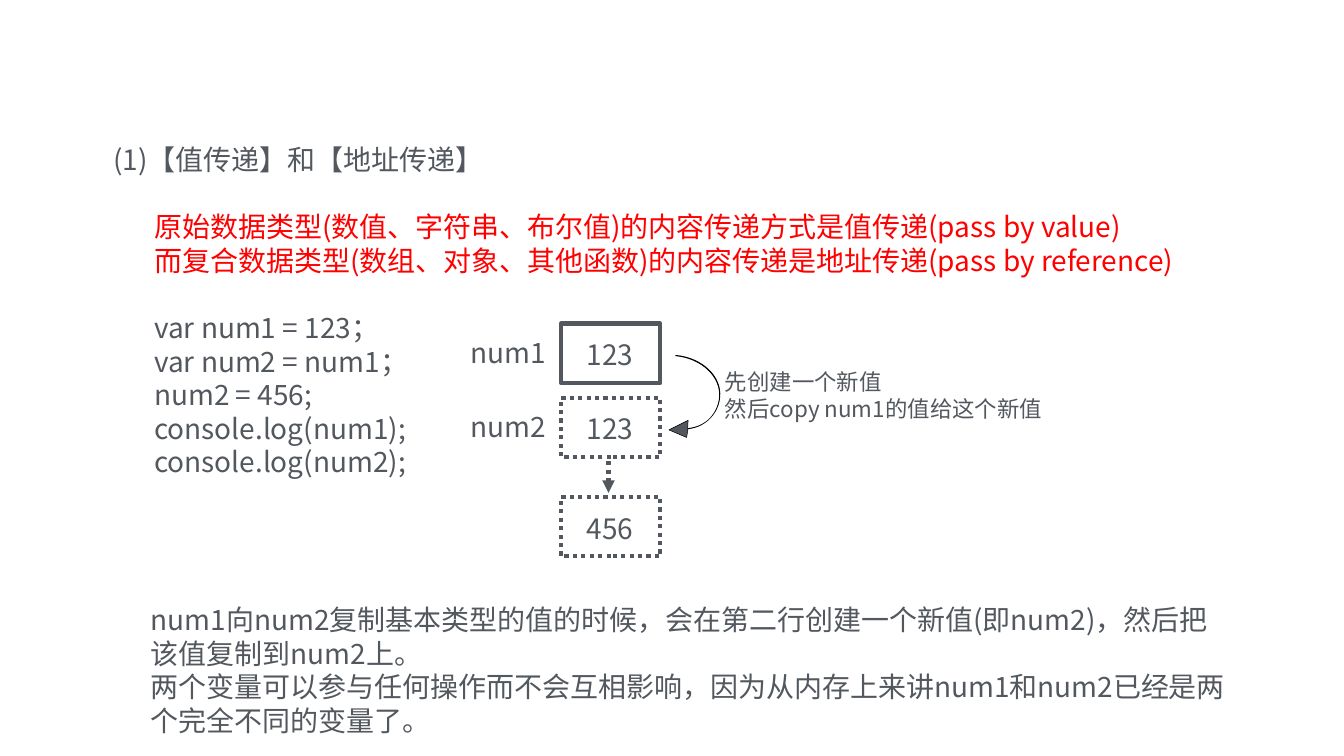
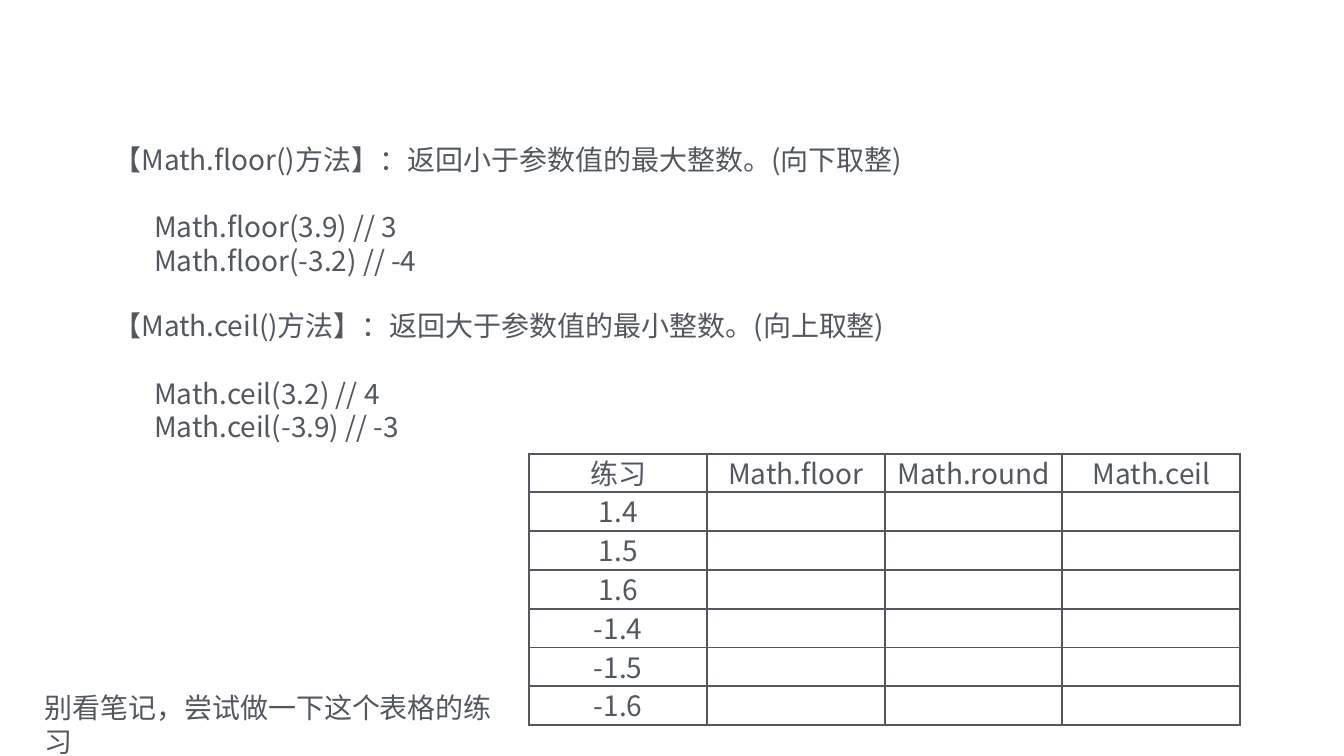
from pptx import Presentation
from pptx.dml.color import RGBColor
from pptx.enum.dml import MSO_LINE_DASH_STYLE as Dash
from pptx.enum.shapes import MSO_CONNECTOR as Connector, MSO_SHAPE as Preset
from pptx.enum.text import MSO_AUTO_SIZE as AutoSize, PP_ALIGN as Align
from pptx.oxml.ns import qn
from pptx.util import Inches, Pt
from lxml.etree import SubElement


class Theme:
    font = "Noto Sans CJK SC"
    ink = RGBColor(0x53, 0x58, 0x5F)
    red = RGBColor(0xFF, 0x00, 0x00)
    black = RGBColor(0x00, 0x00, 0x00)
    body, note = 40, 32
    leading = 1.2
    gap = body * leading
    indent = 0.81
    line, border, hairline = 6, 3, 0.75


# Content: paragraphs are (text, format values)
INDENTED = {"indent": Theme.indent}
AFTER_GAP = {**INDENTED, "before": Theme.gap}

PASSING = [
    ("(1)【值传递】和【地址传递】", {}),
    ("原始数据类型(数值、字符串、布尔值)的内容传递方式是值传递(pass by value)",
     {**AFTER_GAP, "color": Theme.red}),
    ("而复合数据类型(数组、对象、其他函数)的内容传递是地址传递(pass by reference)",
     {**INDENTED, "color": Theme.red}),
    ("var num1 = 123；", AFTER_GAP),
    ("var num2 = num1；", INDENTED),
    ("num2 = 456;", INDENTED),
    ("console.log(num1);", INDENTED),
    ("console.log(num2);", INDENTED),
]
EXPLANATION = [
    ("num1向num2复制基本类型的值的时候，会在第二行创建一个新值(即num2)，然后把该值复制到num2上。",
     {"indent": 0.5}),
    ("两个变量可以参与任何操作而不会互相影响，因为从内存上来讲num1和num2已经是两个完全不同的变量了。",
     {"indent": 0.5}),
]
COPY_NOTE = [(text, {"size": Theme.note}) for text in
             ("先创建一个新值", "然后copy num1的值给这个新值")]

# Memory cells: top, line dash, variable name, value
MEMORY = [
    (6.42, None, "num1", "123"),
    (7.89, Dash.ROUND_DOT, "num2", "123"),
    (9.86, Dash.ROUND_DOT, None, "456"),
]
# Bezier curves of the copy arrow, and the points of its head
OUTER_ARC = [[(13.41, 7.05), (13.93, 7.1), (14.32, 7.47), (14.28, 7.88)],
             [(14.28, 7.88), (14.25, 8.2), (14.0, 8.47), (13.65, 8.5)]]
ARROW_HEAD = [(13.65, 8.34), (13.27, 8.53), (13.62, 8.68)]
ARC_WIDTH = 0.02

METHODS = [
    (2.78, "【Math.floor()方法】：返回小于参数值的最大整数。(向下取整)",
     "Math.floor(3.9) // 3", "Math.floor(-3.2) // -4"),
    (6.08, "【Math.ceil()方法】：返回大于参数值的最小整数。(向上取整)",
     "Math.ceil(3.2) // 4", "Math.ceil(-3.9) // -3"),
]
EXERCISE_HEAD = ["练习", "Math.floor", "Math.round", "Math.ceil"]
EXERCISE_VALUES = ["1.4", "1.5", "1.6", "-1.4", "-1.5", "-1.6"]
EXERCISE_HINT = "别看笔记，尝试做一下这个表格的练习"


# Shared helpers
def write(frame, paragraphs):
    for index, (text, values) in enumerate(paragraphs):
        para = frame.paragraphs[0] if index == 0 else frame.add_paragraph()
        size = values.get("size", Theme.body)
        layout = {"alignment": values.get("align", Align.LEFT),
                  "line_spacing": Pt(size * Theme.leading),
                  "space_before": Pt(values.get("before", 0))}
        for name, value in layout.items():
            setattr(para, name, value)
        properties = para._p.get_or_add_pPr()
        properties.set("marL", str(Inches(values.get("indent", 0))))
        properties.set("indent", "0")
        span = para.add_run()
        span.text = text
        for name, value in {"size": Pt(size), "name": Theme.font}.items():
            setattr(span.font, name, value)
        span.font.color.rgb = values.get("color", Theme.ink)
        SubElement(span._r.get_or_add_rPr(), qn("a:ea"), typeface=Theme.font)


def add_text(page, place, paragraphs, wrap=True):
    box = page.shapes.add_textbox(*map(Inches, place))
    frame = box.text_frame
    frame.word_wrap = wrap
    frame.auto_size = AutoSize.SHAPE_TO_FIT_TEXT
    write(frame, paragraphs)


def style_line(line, color, width, dash=None):
    line.color.rgb = color
    line.width = Pt(width)
    if dash:
        line.dash_style = dash


def bezier(curve, steps=16):
    for step in range(steps + 1):
        t = step / steps
        weights = ((1 - t) ** 3, 3 * t * (1 - t) ** 2, 3 * t * t * (1 - t), t ** 3)
        yield tuple(sum(w * point[axis] for w, point in zip(weights, curve))
                    for axis in (0, 1))


def add_borders(cell):
    properties = cell._tc.get_or_add_tcPr()
    for index, side in enumerate(("lnL", "lnR", "lnT", "lnB")):
        edge = properties.makeelement(qn(f"a:{side}"), {"w": str(Pt(Theme.border))})
        fill = SubElement(edge, qn("a:solidFill"))
        SubElement(fill, qn("a:srgbClr"), val=str(Theme.ink))
        properties.insert(index, edge)


# Parts of the memory diagram
def add_memory_cell(page, top, dash, name, value):
    cell = page.shapes.add_shape(
        Preset.RECTANGLE, *map(Inches, (11.13, top, 1.97, 1.18)))
    cell.shadow.inherit = False
    cell.fill.background()
    style_line(cell.line, Theme.ink, Theme.line, dash)
    if name:
        add_text(page, (9.24, top + 0.18, 1.72, 0.77), [(name, {})], wrap=False)
    add_text(page, (11.54, top + 0.23, 1.15, 0.77), [(value, {})], wrap=False)


def add_down_arrow(page):
    arrow = page.shapes.add_connector(
        Connector.STRAIGHT, *map(Inches, (12.07, 9.15, 12.07, 9.78)))
    style_line(arrow.line, Theme.ink, Theme.line, Dash.ROUND_DOT)
    SubElement(arrow.line._get_or_add_ln(), qn("a:tailEnd"), type="triangle")
    SubElement(arrow._element.spPr, qn("a:effectLst"))


def add_copy_arrow(page):
    outer = [point for curve in OUTER_ARC for point in bezier(curve)]
    inner = [(x - ARC_WIDTH / 2, y + ARC_WIDTH / 2) for x, y in outer]
    points = outer + ARROW_HEAD[::-1] + inner[::-1]
    points = [(Inches(x), Inches(y)) for x, y in points]
    builder = page.shapes.build_freeform(*points[0])
    builder.add_line_segments(points[1:], close=True)
    arrow = builder.convert_to_shape()
    arrow.shadow.inherit = False
    arrow.fill.solid()
    arrow.fill.fore_color.rgb = Theme.ink
    style_line(arrow.line, Theme.black, Theme.hairline)


def add_exercise_table(page):
    rows = [EXERCISE_HEAD] + [[value, "", "", ""] for value in EXERCISE_VALUES]
    frame = page.shapes.add_table(
        len(rows), len(EXERCISE_HEAD), *map(Inches, (10.5, 9, 14.1, 5.39)))
    table = frame.table
    table.first_row = table.horz_banding = False
    for row, texts in zip(table.rows, rows):
        for cell, text in zip(row.cells, texts):
            cell.fill.background()
            cell.margin_top, cell.margin_bottom = Inches(0.1), 0
            add_borders(cell)
            if text:
                write(cell.text_frame, [(text, {"align": Align.CENTER})])


# Slides
def build_passing(page):
    add_text(page, (2.15, 2.78, 23.39, 6.77), PASSING)
    for memory_cell in MEMORY:
        add_memory_cell(page, *memory_cell)
    add_down_arrow(page)
    add_text(page, (2.39, 11.91, 22.05, 3.44), EXPLANATION)
    add_copy_arrow(page)
    add_text(page, (14.28, 7.26, 6.74, 1.17), COPY_NOTE, wrap=False)


def build_rounding(page):
    for top, heading, first, second in METHODS:
        add_text(page, (2.15, top, 23.94, 2.77),
                 [(heading, {}), (first, AFTER_GAP), (second, INDENTED)])
    add_exercise_table(page)
    add_text(page, (0.78, 13.66, 9.63, 0.77), [(EXERCISE_HINT, {})], wrap=False)


def main():
    deck = Presentation()
    deck.slide_width, deck.slide_height = Inches(26.66), Inches(15)
    for build in (build_passing, build_rounding):
        build(deck.slides.add_slide(deck.slide_layouts[6]))
    deck.save("out.pptx")


if __name__ == "__main__":
    main()
